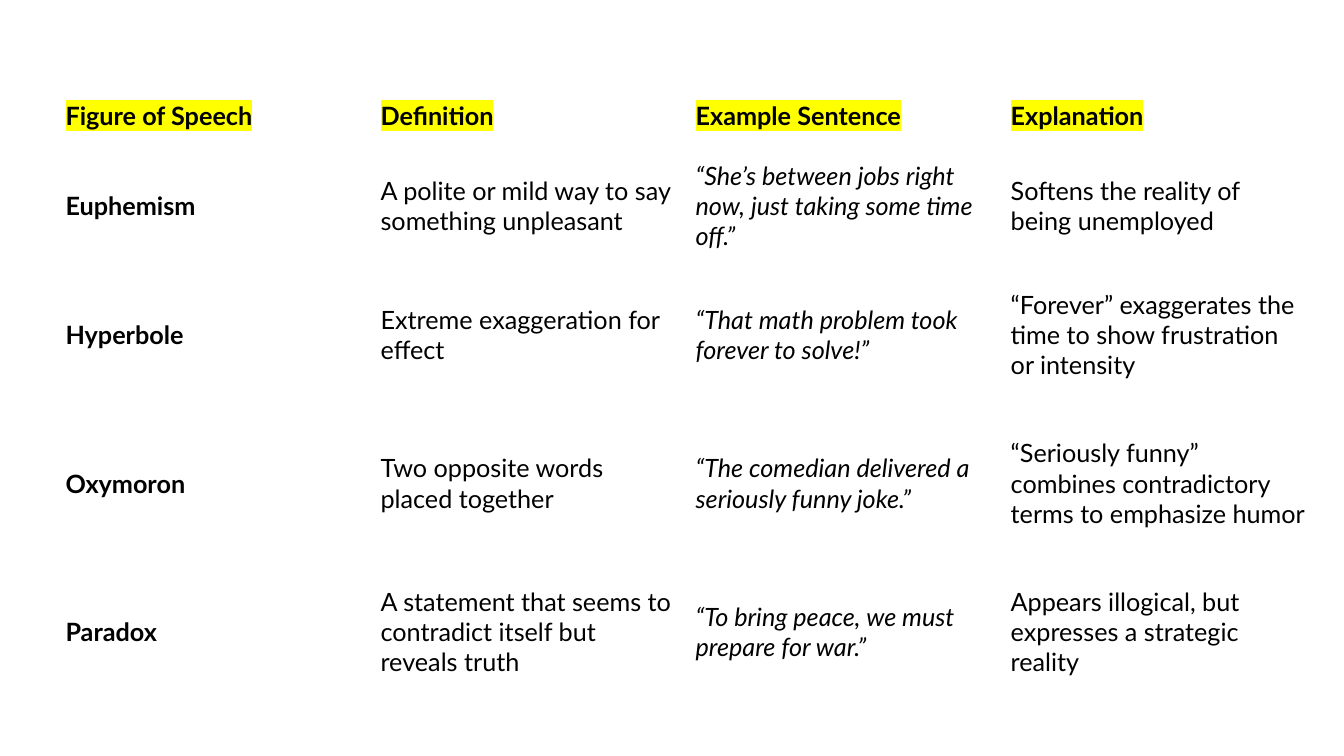
"""Build a slide with a table of four figures of speech."""
from lxml import etree
from pptx import Presentation
from pptx.dml.color import RGBColor
from pptx.enum.text import MSO_ANCHOR
from pptx.oxml.ns import qn
from pptx.util import Inches, Pt

MIDDLE = MSO_ANCHOR.MIDDLE
BLACK = RGBColor(0x00, 0x00, 0x00)
YELLOW = RGBColor(0xFF, 0xFF, 0x00)
TERM_COLUMN, EXAMPLE_COLUMN = 0, 2

ROW_HEIGHTS = [0.51, 1.28, 1.28, 1.67, 1.28]
FIGURES = [
    ("Figure of Speech", "Definition", "Example Sentence", "Explanation"),
    ("Euphemism", "A polite or mild way to say something unpleasant",
     "“She’s between jobs right now, just taking some time off.”",
     "Softens the reality of being unemployed"),
    ("Hyperbole", "Extreme exaggeration for effect",
     "“That math problem took forever to solve!”",
     "“Forever” exaggerates the time to show frustration or intensity"),
    ("Oxymoron", "Two opposite words placed together",
     "“The comedian delivered a seriously funny joke.”",
     "“Seriously funny” combines contradictory terms to emphasize humor"),
    ("Paradox", "A statement that seems to contradict itself but reveals truth",
     "“To bring peace, we must prepare for war.”",
     "Appears illogical, but expresses a strategic reality"),
]


def highlight(run, color):
    mark = etree.SubElement(run.font._element, qn("a:highlight"))
    etree.SubElement(mark, qn("a:srgbClr"), val=str(color))


prs = Presentation()
prs.slide_width = Inches(13.33)
prs.slide_height = Inches(7.5)
slide = prs.slides.add_slide(prs.slide_layouts[6])

figures = slide.shapes.add_table(
    len(FIGURES), len(FIGURES[0]),
    Inches(0.55), Inches(0.89), Inches(12.5), Inches(sum(ROW_HEIGHTS))).table
figures.first_row = False
figures.horz_banding = False

for row, (height, entries) in enumerate(zip(ROW_HEIGHTS, FIGURES)):
    figures.rows[row].height = Inches(height)
    is_header = row == 0
    for column, entry in enumerate(entries):
        cell = figures.cell(row, column)
        cell.fill.background()
        cell.vertical_anchor = MIDDLE
        paragraph = cell.text_frame.paragraphs[0]
        run = paragraph.add_run()
        run.text = entry
        font = paragraph.font
        font.name = "Lato"
        font.size = Pt(18)
        font.color.rgb = BLACK
        font.bold = is_header or column == TERM_COLUMN
        font.italic = not is_header and column == EXAMPLE_COLUMN
        if is_header:
            highlight(run, YELLOW)

tbl_pr = figures._tbl.tblPr
tbl_pr.find(qn("a:tableStyleId")).text = "{2D5ABB26-0587-4C30-8999-92F81FD0307C}"

prs.save("out.pptx")
